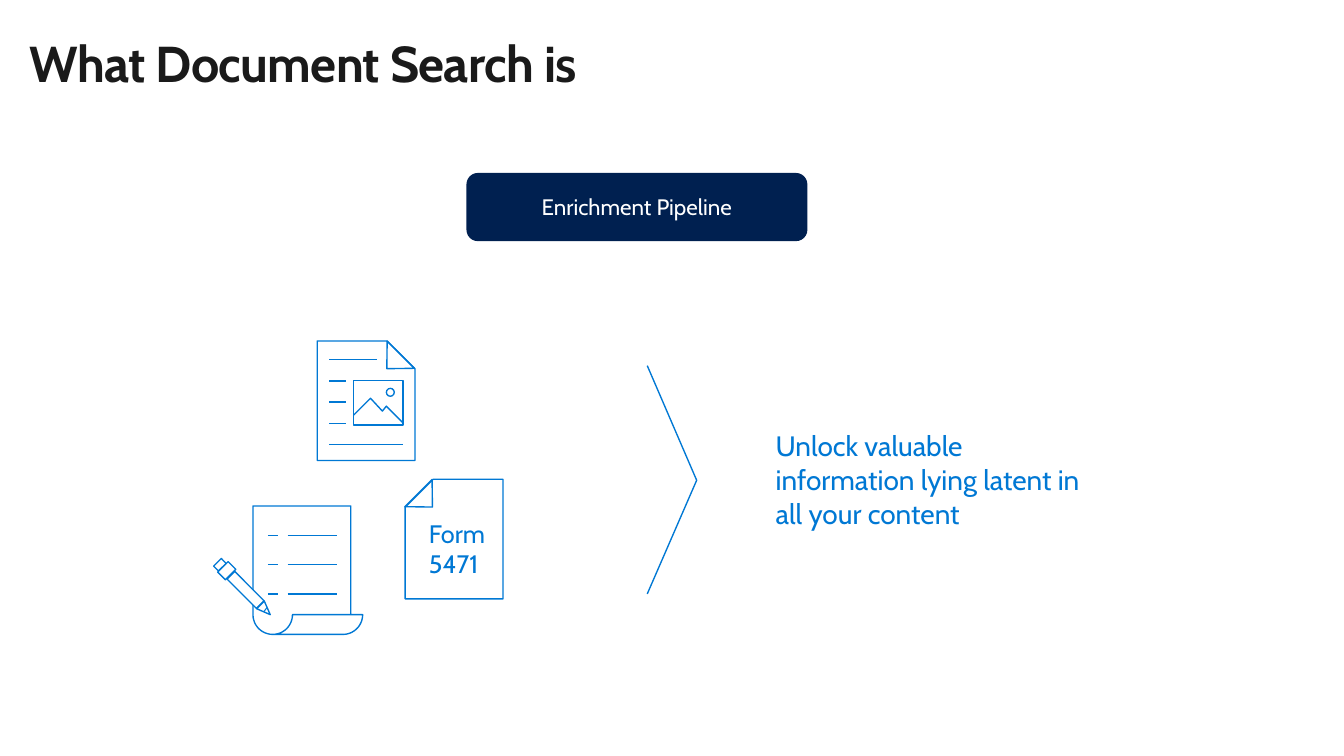
from math import cos, radians, sin

from lxml.etree import SubElement
from pptx import Presentation
from pptx.dml.color import RGBColor
from pptx.enum.shapes import MSO_CONNECTOR as LINK, MSO_SHAPE as KIND
from pptx.enum.text import MSO_ANCHOR as ANCHOR, PP_ALIGN as ALIGN
from pptx.oxml.ns import qn
from pptx.util import Pt

PX = 9144  # EMU, 100 px to the inch
FONT = "Cabin"
BLUE, NAVY, WHITE, INK = "0078D4", "002050", "FFFFFF", "1A1A1A"


def px(*nums):
    return [round(n * PX) for n in nums]


def paint(target, color):
    """Give a fill or a line's fill one solid colour, or none."""
    if color:
        target.solid()
        target.fore_color.rgb = RGBColor.from_string(color)
    else:
        target.background()


def style(shape, fill=None, line=BLUE):
    shape.shadow.inherit = False
    paint(shape.fill, fill)
    paint(shape.line.fill, line)
    if line:
        shape.line.width = Pt(1)
    return shape


def add_form(slide, kind, box, turn=0, fill=None, line=BLUE):
    shape = slide.shapes.add_shape(kind, *px(*box))
    shape.rotation = turn
    return style(shape, fill, line)


def add_line(slide, start, end, width=1):
    line = slide.shapes.add_connector(LINK.STRAIGHT, *px(*start, *end))
    paint(line.line.fill, BLUE)
    line.line.width = Pt(width)
    SubElement(line._element.spPr, qn("a:effectLst"))


def add_path(slide, *strokes):
    """Draw open strokes, each a list of points, as one outline."""
    first = strokes[0]
    pen = slide.shapes.build_freeform(*px(*first[0]), scale=1.0)
    for stroke in strokes:
        if stroke is not first:
            pen.move_to(*px(*stroke[0]))
        pen.add_line_segments([px(*spot) for spot in stroke[1:]], close=False)
    return style(pen.convert_to_shape())


def arc(x, y, radius, start, end):
    steps = 24
    angles = [radians(start + (end - start) * i / steps)
              for i in range(steps + 1)]
    return [(x + radius * cos(a), y + radius * sin(a)) for a in angles]


def set_text(shape, text, size, color, pad=(0, 0), anchor=ANCHOR.TOP,
             align=ALIGN.LEFT, bold=False):
    frame = shape.text_frame
    frame.word_wrap = True
    frame.vertical_anchor = anchor
    frame.margin_left = frame.margin_right = px(pad[0])[0]
    frame.margin_top = frame.margin_bottom = px(pad[1])[0]
    frame.text = text
    para = frame.paragraphs[0]
    para.alignment = align
    font = para.font
    font.name, font.size, font.bold = FONT, Pt(size), bold
    font.color.rgb = RGBColor.from_string(color)
    return para


def add_text(slide, box, text, size, pad=(0, 0)):
    set_text(slide.shapes.add_textbox(*px(*box)), text, size, BLUE, pad)


def add_title(slide, text):
    title = slide.shapes.title
    title.left, title.top, title.width, title.height = px(30, 32, 1300, 100)
    para = set_text(title, text, 36.7, INK, bold=True)
    para.runs[0].font._element.set("spc", "-50")


def add_page(slide, left, top, fold, turn, flip=False):
    """Draw a sheet with one top corner folded down."""
    page = add_form(slide, KIND.SNIP_1_RECTANGLE, (left, top, 99, 121))
    page.adjustments[0] = 0.287
    if flip:
        page._element.spPr.xfrm.set("flipH", "1")
    add_form(slide, KIND.ISOSCELES_TRIANGLE, (fold, top + 11, 39, 20), turn)


def add_scroll(slide):
    sheet = [(276, 642), *arc(347, 622, 20, 90, 0),
             *arc(276, 622, 20, 0, 180), (256, 512), (355, 512), (355, 622)]
    rows = [[(left, y), (right, y)] for y in (542, 571, 601)
            for left, right in ((291, 341), (271, 281))]
    add_path(slide, sheet, *rows)


def add_pen(slide):
    parts = [(KIND.RECTANGLE, (243, 576, 11, 42), 315),
             (KIND.ISOSCELES_TRIANGLE, (263, 610, 11, 14), 135),
             (KIND.RECTANGLE, (222, 572, 15, 11), 315),
             (KIND.RECTANGLE, (217, 568, 11, 7), 315)]
    for kind, box, turn in parts:
        add_form(slide, kind, box, turn, WHITE)
    add_line(slide, (267, 619), (270, 615), 0.75)


def add_report(slide):
    add_page(slide, 321, 345, 379, 225)
    ends = (381, 350, 350, 350, 408)
    for i, end in enumerate(ends):
        y = 364 + 21.5 * i
        add_line(slide, (333, y), (end, y))
    add_form(slide, KIND.RECTANGLE, (358, 385, 50, 45))
    add_path(slide, [(408, 428), (391, 411), (387, 416), (375, 403),
                     (358, 420)])
    add_form(slide, KIND.OVAL, (391, 393, 8, 8))


def main():
    deck = Presentation()
    deck.slide_width, deck.slide_height = px(1360, 765)
    slide = deck.slides.add_slide(deck.slide_layouts[5])
    add_title(slide, "What Document Search is")

    add_text(slide, (775, 429, 329, 113),
             "Unlock valuable information lying latent in all your content",
             20.4, (10, 5))
    add_path(slide, [(655, 370), (705, 486), (655, 601)])

    add_scroll(slide)
    add_pen(slide)
    add_report(slide)
    add_page(slide, 410, 485, 411, 135, flip=True)
    add_text(slide, (434, 524, 69, 63), "Form 5471", 18.4)

    badge = add_form(slide, KIND.ROUNDED_RECTANGLE, (472, 175, 345, 69),
                     fill=NAVY, line=None)
    set_text(badge, "Enrichment Pipeline", 16.3, WHITE, (20, 16),
             ANCHOR.MIDDLE, ALIGN.CENTER)
    deck.save("out.pptx")


if __name__ == "__main__":
    main()
